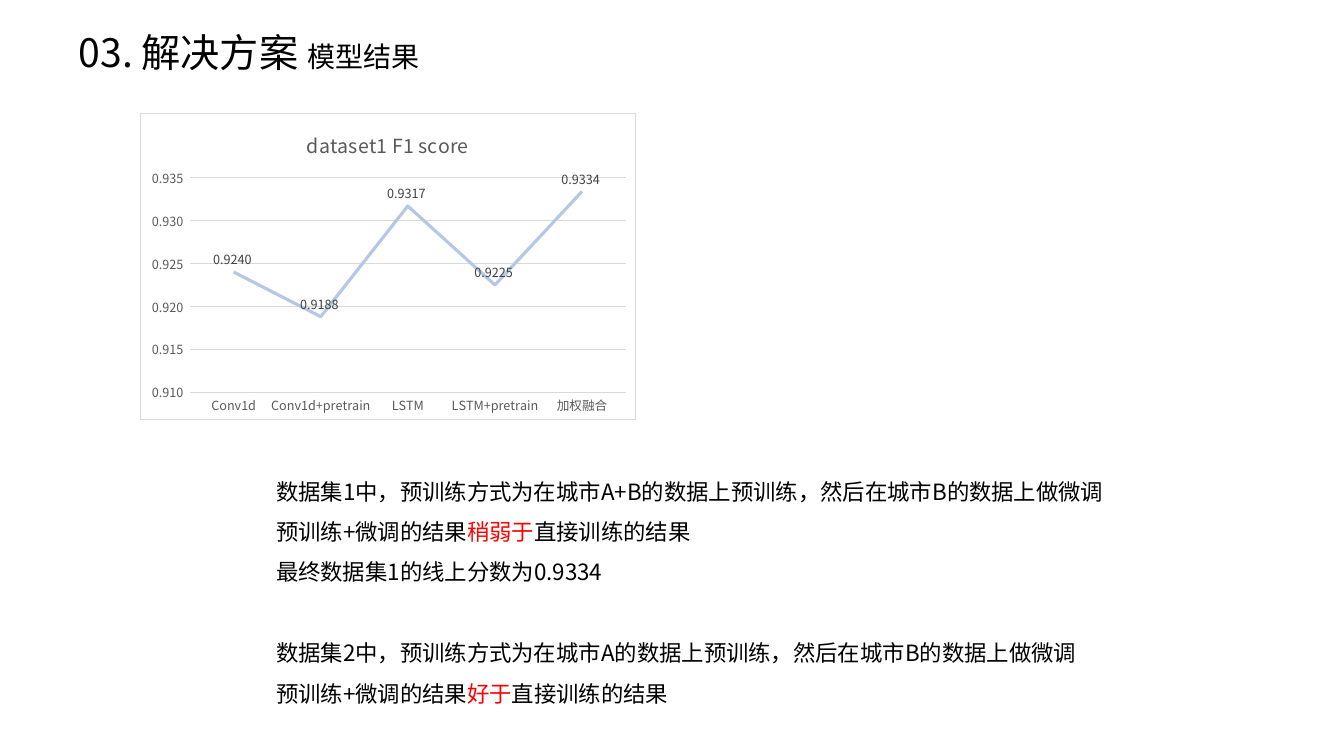
from dataclasses import dataclass
from typing import Any

from lxml import etree
from pptx import Presentation
from pptx import oxml
from pptx.chart import data as chart_data
from pptx.dml.color import RGBColor
from pptx.enum import chart as ch, text as tx
from pptx.oxml import ns
from pptx.util import Pt

FONT = "Noto Sans CJK SC"
BLACK = RGBColor(0x00, 0x00, 0x00)
RED = RGBColor(0xFF, 0x00, 0x00)
DARK_GREY = RGBColor(0x40, 0x40, 0x40)
GREY = RGBColor(0x59, 0x59, 0x59)
LIGHT_GREY = RGBColor(0xD9, 0xD9, 0xD9)
PALE_BLUE = RGBColor(0xB4, 0xC7, 0xE7)
WHITE = RGBColor(0xFF, 0xFF, 0xFF)


@dataclass(frozen=True)
class Piece:
    text: str
    size: float = 16
    color: RGBColor = BLACK


@dataclass(frozen=True)
class Line:
    pieces: tuple[Piece, ...]
    before: float = 0
    spacing: float = 1.5


@dataclass(frozen=True)
class Box:
    left: float
    top: float
    width: float
    height: float

    def lengths(self) -> tuple[Pt, Pt, Pt, Pt]:
        return Pt(self.left), Pt(self.top), Pt(self.width), Pt(self.height)


HEADING_BOX = Box(48.96, 16.56, 267.12, 41.04)
FINDINGS_BOX = Box(190.08, 328.32, 653.76, 181.44)
SCORES_BOX = Box(100.08, 80.64, 354.24, 219.6)

HEADING = (Line((Piece("03. 解决方案 ", 28), Piece("模型结果", 20)), spacing=1),)
FINDINGS = (
    Line((Piece("数据集1中，预训练方式为在城市A+B的数据上预训练，然后在城市B的数据上做微调"),)),
    Line((Piece("预训练+微调的结果"), Piece("稍弱于", color=RED), Piece("直接训练的结果"))),
    Line((Piece("最终数据集1的线上分数为0.9334"),)),
    Line((Piece("数据集2中，预训练方式为在城市A的数据上预训练，然后在城市B的数据上做微调"),), before=29),
    Line((Piece("预训练+微调的结果"), Piece("好于", color=RED), Piece("直接训练的结果"))),
)
SCORES = {
    "Conv1d": 0.924,
    "Conv1d+pretrain": 0.9188,
    "LSTM": 0.9317,
    "LSTM+pretrain": 0.9225,
    "加权融合": 0.9334,
}


def apply(target: Any, values: dict[str, Any]) -> None:
    for name, value in values.items():
        setattr(target, name, value)


def style_font(font: Any, size: float, color: RGBColor) -> None:
    apply(font, {"name": FONT, "size": Pt(size), "bold": False})
    font.color.rgb = color
    etree.SubElement(font._rPr, ns.qn("a:ea")).set("typeface", FONT)


def style_line(line: Any, color: RGBColor, width: float) -> None:
    line.color.rgb = color
    line.width = Pt(width)


def write_lines(frame: Any, lines: tuple[Line, ...], wrap: bool) -> None:
    apply(frame, {
        "word_wrap": wrap,
        "auto_size": tx.MSO_AUTO_SIZE.SHAPE_TO_FIT_TEXT,
        "vertical_anchor": tx.MSO_ANCHOR.TOP,
    })
    for index, line in enumerate(lines):
        paragraph = frame.add_paragraph() if index else frame.paragraphs[0]
        apply(paragraph, {
            "alignment": tx.PP_ALIGN.LEFT,
            "line_spacing": line.spacing,
            "space_before": Pt(line.before),
        })
        for piece in line.pieces:
            run = paragraph.add_run()
            run.text = piece.text
            style_font(run.font, piece.size, piece.color)


def frame_chart(chart: Any) -> None:
    border = oxml.parse_xml(
        f'<c:spPr {ns.nsdecls("c", "a")}>'
        f'<a:solidFill><a:srgbClr val="{WHITE}"/></a:solidFill>'
        f'<a:ln w="{Pt(0.75)}"><a:solidFill><a:srgbClr val="{LIGHT_GREY}"/></a:solidFill></a:ln>'
        '</c:spPr>'
    )
    chart_space = chart._chartSpace
    chart_space.find(ns.qn("c:chart")).addnext(border)
    plot_area = chart_space.find(".//" + ns.qn("c:plotArea"))
    for automatic in plot_area.findall(ns.qn("c:layout")):
        plot_area.remove(automatic)
    edges = {"x": 0.1, "y": 0.21, "w": 0.88, "h": 0.7}
    places = "".join(f'<c:{edge} val="{value}"/>' for edge, value in edges.items())
    plot_area.insert(0, oxml.parse_xml(
        f'<c:layout {ns.nsdecls("c")}><c:manualLayout><c:layoutTarget val="inner"/>'
        f'<c:xMode val="edge"/><c:yMode val="edge"/>{places}</c:manualLayout></c:layout>'
    ))


def add_scores(slide: Any) -> None:
    scores = chart_data.CategoryChartData(number_format="0.0000")
    scores.categories = list(SCORES)
    scores.add_series("Series 1", list(SCORES.values()))
    chart = slide.shapes.add_chart(
        ch.XL_CHART_TYPE.LINE, *SCORES_BOX.lengths(), scores
    ).chart
    style_font(chart.font, 10, BLACK)
    apply(chart, {"has_legend": False, "has_title": True})
    caption = chart.chart_title.text_frame.paragraphs[0].add_run()
    caption.text = "dataset1 F1 score"
    style_font(caption.font, 14, GREY)
    chart.chart_title.include_in_layout = False

    models, values = chart.category_axis, chart.value_axis
    for axis in (models, values):
        apply(axis, {
            "major_tick_mark": ch.XL_TICK_MARK.NONE,
            "minor_tick_mark": ch.XL_TICK_MARK.NONE,
        })
        style_font(axis.tick_labels.font, 9, GREY)
    style_line(models.format.line, LIGHT_GREY, 0.75)
    apply(values, {
        "minimum_scale": 0.91,
        "maximum_scale": 0.935,
        "major_unit": 0.005,
        "has_major_gridlines": True,
    })
    values.format.line.fill.background()
    style_line(values.major_gridlines.format.line, LIGHT_GREY, 0.75)
    apply(values.tick_labels, {
        "number_format": r"#,##0.000_);[Red]\(#,##0.000\)",
        "number_format_is_linked": False,
    })

    plot = chart.plots[0]
    plot.vary_by_categories = False
    f1 = plot.series[0]
    f1.smooth = False
    style_line(f1.format.line, PALE_BLUE, 2.25)
    labels = f1.data_labels
    apply(labels, {
        "show_value": True,
        "position": ch.XL_LABEL_POSITION.ABOVE,
        "number_format": "0.0000_ ",
        "number_format_is_linked": False,
    })
    style_font(labels.font, 9, DARK_GREY)
    frame_chart(chart)


def main() -> None:
    deck = Presentation()
    apply(deck, {"slide_width": Pt(960), "slide_height": Pt(540)})
    slide = deck.slides.add_slide(deck.slide_layouts[5])
    heading = slide.shapes.title
    apply(heading, dict(zip(("left", "top", "width", "height"), HEADING_BOX.lengths())))
    write_lines(heading.text_frame, HEADING, wrap=False)
    findings = slide.shapes.add_textbox(*FINDINGS_BOX.lengths())
    write_lines(findings.text_frame, FINDINGS, wrap=True)
    add_scores(slide)
    deck.save("out.pptx")


if __name__ == "__main__":
    main()
